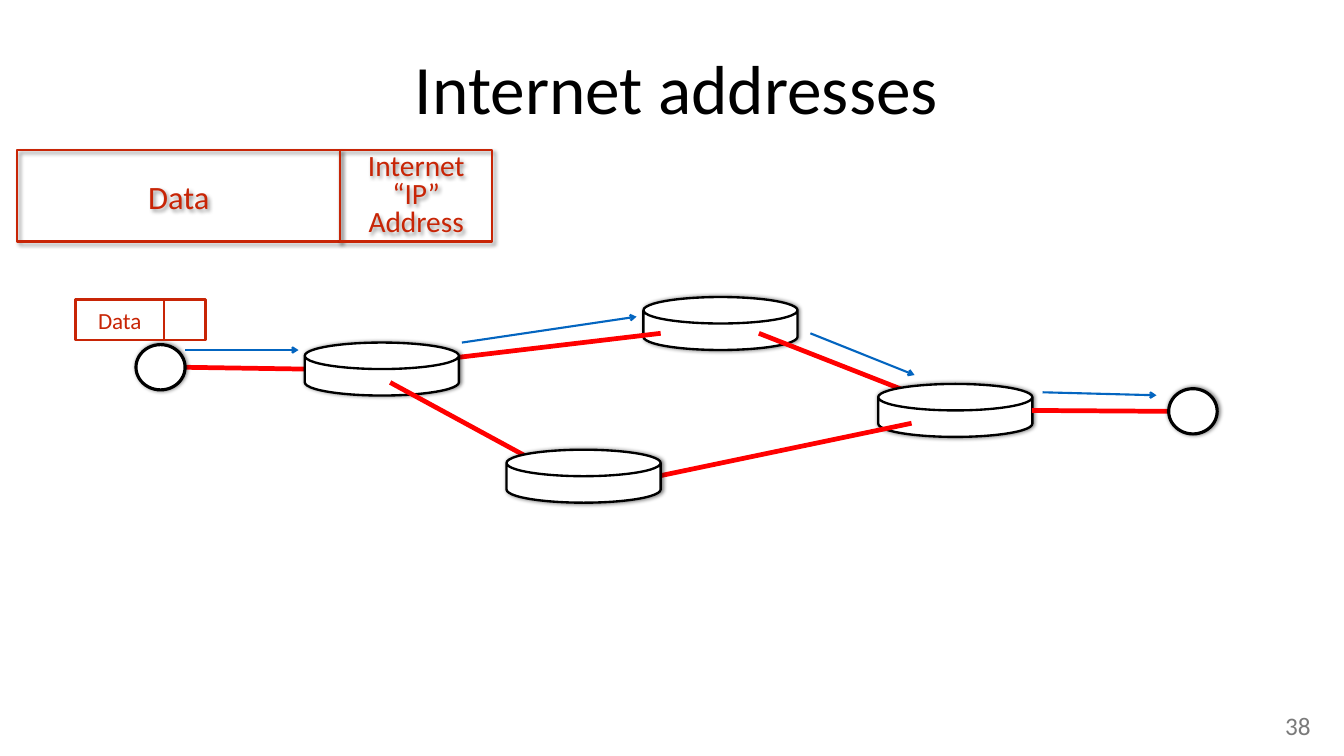
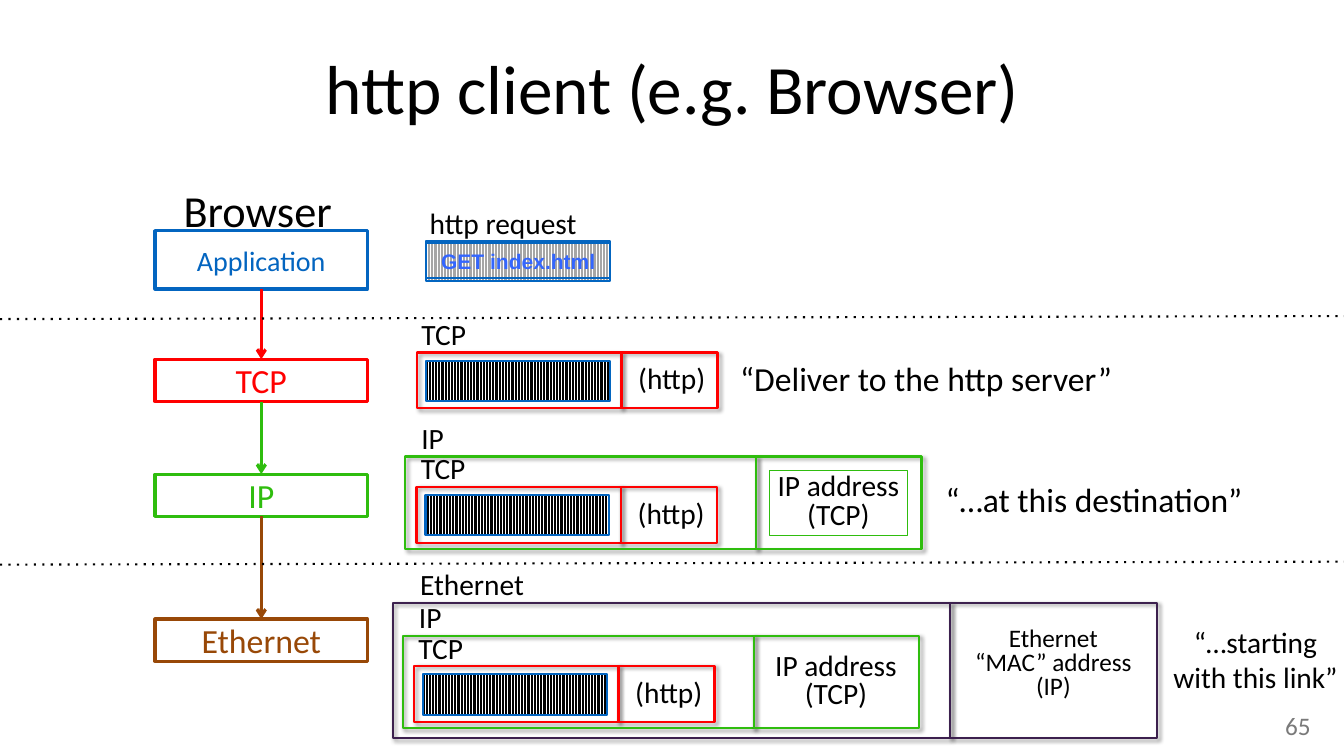
from lxml.etree import SubElement
from pptx import Presentation
from pptx.dml.color import RGBColor
from pptx.enum.dml import MSO_PATTERN
from pptx.enum.shapes import MSO_CONNECTOR, MSO_SHAPE
from pptx.enum.text import MSO_ANCHOR, MSO_AUTO_SIZE, PP_ALIGN
from pptx.oxml.ns import qn
from pptx.util import Cm, Pt

WIDTH, HEIGHT = 45.16, 25.4
FONT = "Calibri"
BLACK, WHITE, GREY, SILVER = "000000", "FFFFFF", "7A7A7A", "A6A6A6"
RED, BLUE, GREEN, BROWN = "FF0000", "0365C0", "2FBD0E", "984807"
BRICK, PURPLE, BRIGHT_BLUE = "C82506", "3C204E", "3366FF"
FRAME_SHADOW = (40, 4, 3, 45)
NODE_SHADOW = (50, 4, 1, 0)

ADDRESSED_PACKET = [
    ("Data", (0.58, 5.05, 10.85, 3.07), 31, None),
    ("Internet “IP”\nAddress", (11.43, 5.05, 5.11, 3.07), 28, 0.8),
]
SMALL_PACKET = [("Data", (2.54, 10.06, 2.97, 1.37)), ("", (5.51, 10.06, 1.4, 1.37))]
HOPS = [
    (6.22, 11.76, 10.03, 11.76),
    (15.52, 11.51, 21.39, 10.64),
    (27.23, 11.2, 30.73, 12.6),
    (35.03, 13.18, 38.86, 13.28),
]
ROUTER_SIZE = (5.18, 1.78)
LINKS_THEN_ROUTER = [
    ([], (21.62, 9.98)),
    ([(6.22, 12.34, 10.24, 12.4), (14.27, 12.14, 22.2, 11.2)], (10.24, 11.51)),
    ([(13.11, 12.85, 18.87, 15.98), (25.5, 11.2, 32.11, 13.79)], (29.51, 12.9)),
    ([(22.2, 15.98, 30.63, 14.22)], (17.02, 15.11)),
]
LAST_LINK = (39.27, 13.82, 34.67, 13.79)
HOSTS = [(39.27, 13.06, 1.63, 1.52), (4.57, 11.58, 1.65, 1.52)]

STACK_LEFT, STACK_WIDTH = 5.21, 7.14
STACK = [
    ("Application", BLUE, 7.75, 1.96, 26.7),
    ("TCP", RED, 12.07, 1.42, 32.2),
    ("IP", GREEN, 15.93, 1.42, 32.2),
    ("Ethernet", BROWN, 20.8, 1.42, 32.2),
]
CAPTIONS = [
    ("Browser", (5.84, 6.02, 5.64, 2.06), 42.2, False),
    ("http request", (14.15, 6.76, 5.51, 1.45), 28, False),
    ("“Deliver to the http server”", (24.38, 11.91, 13.49, 1.63), 32, False),
    ("“…at this destination”", (31.34, 15.98, 10.85, 1.63), 32, False),
    ("“…starting with this link”", (39.01, 20.85, 6.35, 2.64), 28, True),
]
REQUEST = (14.33, 8.1, 6.17, 1.35)
REQUEST_TEXT = (14.33, 8.18, 6.17, 1.17)
PAYLOAD = (0.3, 0.28, 6.17, 1.35)
LAYERS = [
    {"name": "TCP", "colour": RED, "label": (-0.28, -1.35, 2.34, 1.45),
     "frame": (0, 0, 6.86, 1.88), "header_width": 3.23,
     "address": "(http)", "address_box": (7.14, 0.37, 2.82, 1.22), "size": 28},
    {"name": "IP", "colour": GREEN, "label": (-0.1, -2.36, 1.27, 1.45),
     "frame": (-0.38, -1.02, 11.79, 3.1), "header_width": 5.56,
     "address": "IP address\n(TCP)", "address_box": (11.86, -0.55, 4.62, 2.18), "size": 28},
    {"name": "Ethernet", "colour": PURPLE, "label": (-0.08, -3.48, 4.04, 1.45),
     "frame": (-0.71, -2.13, 18.72, 4.55), "header_width": 6.95,
     "address": "Ethernet\v“MAC” address\n(IP)", "address_box": (18.49, -1.4, 5.97, 2.72), "size": 24},
]
PACKETS = [(14.02, 11.84, 1), (14, 16.36, 2), (13.92, 22.38, 3)]
DIVIDERS = [(0, 10.72, WIDTH, 10.62), (0, 18.97, WIDTH, 18.87)]


def colour(value):
    return RGBColor.from_string(value)


def lengths(values):
    return [Cm(value) for value in values]


def write(shape, text, size, text_colour, wrap=True, spacing=None, font=FONT, bold=False):
    frame = shape.text_frame
    frame.text = text
    frame.word_wrap = wrap
    for paragraph in frame.paragraphs:
        paragraph.alignment = PP_ALIGN.CENTER
        if spacing:
            paragraph.line_spacing = spacing
        paragraph.font.name = font
        paragraph.font.size = Pt(size)
        paragraph.font.bold = bold
        paragraph.font.color.rgb = colour(text_colour)


def add_text(slide, text, box, size, text_colour=BLACK, wrap=False, spacing=None):
    shape = slide.shapes.add_textbox(*lengths(box))
    write(shape, text, size, text_colour, wrap, spacing)
    return shape


def add_shadow(shape, opacity, blur, distance, angle):
    effects = shape.element.spPr.find(qn("a:effectLst"))
    shadow = SubElement(effects, qn("a:outerShdw"), blurRad=str(Pt(blur)), dist=str(Pt(distance)),
                        dir=str(angle * 60000), rotWithShape="0")
    shade = SubElement(shadow, qn("a:srgbClr"), val=BLACK)
    SubElement(shade, qn("a:alpha"), val=str(opacity * 1000))


def add_box(slide, box, line, width=2.25, fill=None, shadow=None, kind=MSO_SHAPE.RECTANGLE):
    shape = slide.shapes.add_shape(kind, *lengths(box))
    shape.shadow.inherit = False
    shape.line.color.rgb = colour(line)
    shape.line.width = Pt(width)
    if fill:
        shape.fill.solid()
        shape.fill.fore_color.rgb = colour(fill)
    else:
        shape.fill.background()
    if shadow:
        add_shadow(shape, *shadow)
    shape.text_frame.vertical_anchor = MSO_ANCHOR.MIDDLE
    return shape


def add_striped_box(slide, box, stripe):
    shape = add_box(slide, box, BLUE, 2)
    shape.fill.patterned()
    shape.fill.pattern = MSO_PATTERN.LIGHT_VERTICAL
    shape.fill.fore_color.rgb = colour(stripe)
    shape.fill.back_color.rgb = colour(WHITE)
    return shape


def add_line(slide, ends, line_colour, width, arrow=False, dash=None):
    connector = slide.shapes.add_connector(MSO_CONNECTOR.STRAIGHT, *lengths(ends))
    connector.line.color.rgb = colour(line_colour)
    connector.line.width = Pt(width)
    properties = connector.element.spPr
    line = properties.find(qn("a:ln"))
    if dash:
        SubElement(line, qn("a:prstDash"), val=dash)
    if arrow:
        SubElement(line, qn("a:tailEnd"), type="arrow")
    SubElement(properties, qn("a:effectLst"))


def add_slide(presentation, heading, number, left, width):
    slide = presentation.slides.add_slide(presentation.slide_layouts[5])
    title = slide.shapes.title
    title.left, title.top, title.width, title.height = lengths((left, 0.66, width, 4.52))
    write(title, heading, 66, BLACK)
    frame = title.text_frame
    frame.auto_size = MSO_AUTO_SIZE.NONE
    frame.vertical_anchor = MSO_ANCHOR.MIDDLE
    frame.margin_left = frame.margin_right = frame.margin_top = frame.margin_bottom = Cm(0.15)
    page = add_text(slide, number, (43.1, 23.85, 1.02, 1.02), 24, GREY).text_frame
    page.margin_left = page.margin_right = page.margin_top = page.margin_bottom = 0
    return slide


def draw_network(slide):
    for text, box, size, spacing in ADDRESSED_PACKET:
        write(add_box(slide, box, BRICK, shadow=FRAME_SHADOW), text, size, BRICK, spacing=spacing)
    for hop in HOPS:
        add_line(slide, hop, BLUE, 2, arrow=True)
    for links, position in LINKS_THEN_ROUTER:
        for link in links:
            add_line(slide, link, RED, 4.5)
        router = add_box(slide, position + ROUTER_SIZE, BLACK, 2.25, WHITE, NODE_SHADOW, MSO_SHAPE.CAN)
        router.adjustments[0] = 0.5
    add_line(slide, LAST_LINK, RED, 4.5)
    for host in HOSTS:
        add_box(slide, host, BLACK, 3, WHITE, NODE_SHADOW, MSO_SHAPE.OVAL)
    for text, box in SMALL_PACKET:
        cell = add_box(slide, box, BRICK, fill=WHITE)
        if text:
            write(cell, text, 22, BRICK)


def draw_stack(slide):
    middle = STACK_LEFT + STACK_WIDTH / 2
    previous_bottom = None
    for name, layer_colour, top, height, size in STACK:
        if previous_bottom:
            add_line(slide, (middle, previous_bottom, middle, top), layer_colour, 3, arrow=True)
        box = add_box(slide, (STACK_LEFT, top, STACK_WIDTH, height), layer_colour, 3, WHITE)
        write(box, name, size, layer_colour, wrap=False)
        previous_bottom = top + height


def draw_packet(slide, left, top, depth):
    def place(box):
        return (left + box[0], top + box[1], box[2], box[3])

    add_striped_box(slide, place(PAYLOAD), BLACK)
    for layer in LAYERS[:depth]:
        x, y, width, height = layer["frame"]
        header = (x + width, y, layer["header_width"], height)
        for box in (layer["frame"], header):
            add_box(slide, place(box), layer["colour"], shadow=FRAME_SHADOW)
        add_text(slide, layer["name"], place(layer["label"]), 28)
        address = add_text(slide, layer["address"], place(layer["address_box"]), layer["size"], spacing=0.8)
    return address


def draw_encapsulation(slide):
    draw_stack(slide)
    add_striped_box(slide, REQUEST, SILVER)
    request = add_striped_box(slide, REQUEST_TEXT, SILVER)
    write(request, "GET index.html", 20, BRIGHT_BLUE, font="Arial", bold=True)
    for left, top, depth in PACKETS:
        address = draw_packet(slide, left, top, depth)
        if depth == 2:
            address.line.color.rgb = colour(GREEN)
            address.line.width = Pt(0.75)
    for text, box, size, wrap in CAPTIONS:
        add_text(slide, text, box, size, wrap=wrap)
    for divider in DIVIDERS:
        add_line(slide, divider, BLACK, 2, dash="dot")


def main():
    presentation = Presentation()
    presentation.slide_width, presentation.slide_height = lengths((WIDTH, HEIGHT))
    draw_network(add_slide(presentation, "Internet addresses", "38", 2.54, 40.39))
    draw_encapsulation(add_slide(presentation, "http client (e.g. Browser)", "65", 4.42, 36.35))
    presentation.save("out.pptx")


if __name__ == "__main__":
    main()
